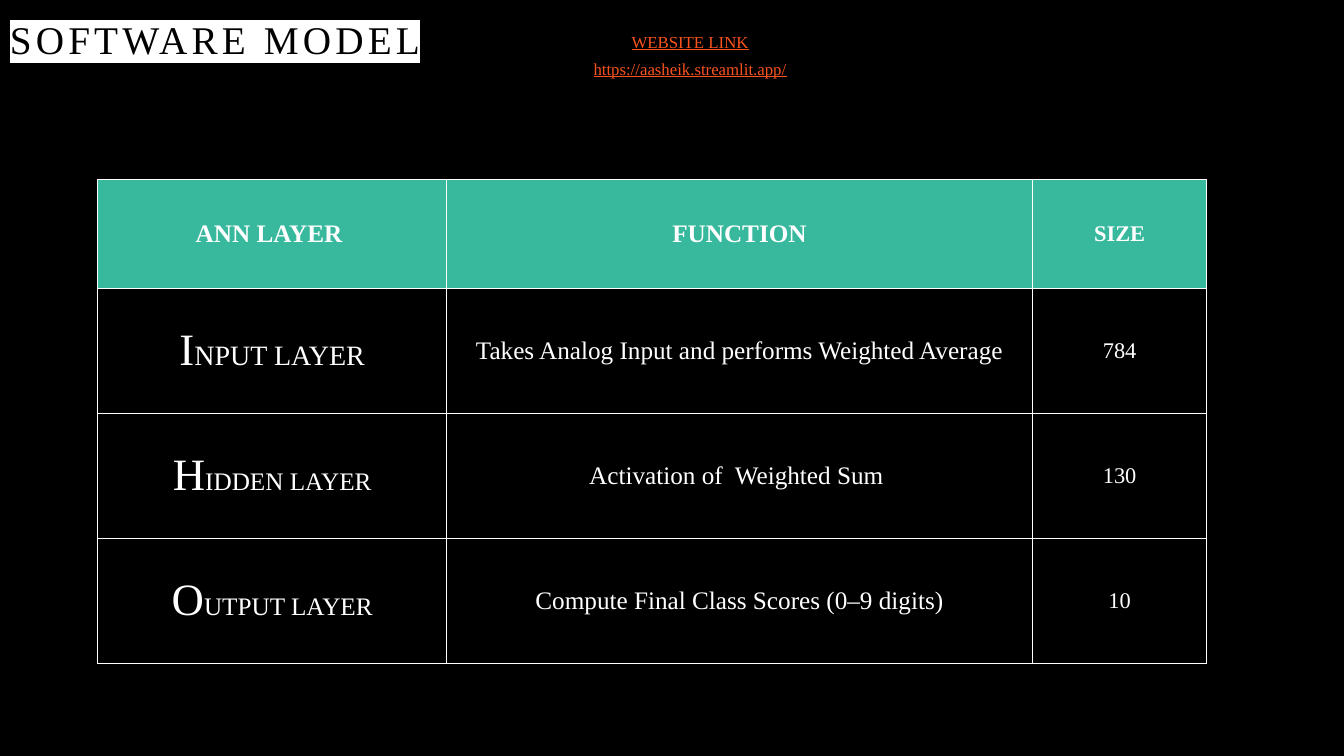
from dataclasses import dataclass

from lxml import etree
from pptx import Presentation
from pptx import util as u
from pptx.dml.color import RGBColor
from pptx.enum import text
from pptx.oxml import ns


@dataclass(frozen=True)
class Theme:
    """Colours, font and type sizes of the slide."""
    black: RGBColor = RGBColor(0, 0, 0)
    white: RGBColor = RGBColor(255, 255, 255)
    teal: RGBColor = RGBColor(0x38, 0xB9, 0x9E)
    orange: RGBColor = RGBColor(0xFA, 0x53, 0x1E)
    face: str = "Times New Roman"
    title: int = 28
    link: int = 12
    initial: int = 32
    first_layer: int = 20
    body: int = 18
    size: int = 16


THEME = Theme()
COLUMNS = (3.46, 5.81, 1.73)
ROWS = (1.08, 1.24, 1.24, 1.24)
HEADER = ("ANN LAYER ", "FUNCTION", "SIZE")
LAYERS = (
    ("INPUT LAYER", "Takes Analog Input and performs Weighted Average", "784"),
    ("HIDDEN LAYER", "Activation of  Weighted Sum ", "130"),
    ("OUTPUT LAYER", "Compute Final Class Scores (0–9 digits)", "10"),
)


def style(font, size, color, bold=False):
    """Set face, size, colour and weight of a font."""
    font.name, font.size, font.bold = THEME.face, u.Pt(size), bold
    font.color.rgb = color


def add_box(page, box):
    """Add a wrapping text box at (left, top, width, height) in inches."""
    frame = page.shapes.add_textbox(*map(u.Inches, box)).text_frame
    frame.word_wrap = True
    return frame


def add_title(page, box):
    """Write the spaced, highlighted title at the foot of its box."""
    frame = add_box(page, box)
    frame.vertical_anchor = text.MSO_ANCHOR.BOTTOM
    para = frame.paragraphs[0]
    para.line_spacing = 1.2
    span = para.add_run()
    span.text = "SOFTWARE MODEL"
    style(span.font, THEME.title, THEME.black)
    props = span._r.get_or_add_rPr()
    props.set("spc", "300")
    highlight = etree.Element(ns.qn("a:highlight"))
    etree.SubElement(highlight, ns.qn("a:srgbClr"), val=str(THEME.white))
    props.find(ns.qn("a:solidFill")).addnext(highlight)


def add_links(page, box):
    """Write the centred website label and address."""
    frame = add_box(page, box)
    frame.margin_left = frame.margin_right = frame.margin_bottom = 0
    frame.margin_top = u.Inches(0.07)
    for index, line in enumerate(("WEBSITE LINK", "https://aasheik.streamlit.app/")):
        para = frame.add_paragraph() if index else frame.paragraphs[0]
        para.text = line
        para.alignment = text.PP_ALIGN.CENTER
        if index:
            para.space_before = u.Pt(4.9)
        style(para.font, THEME.link, THEME.orange)
        para.font.underline = True


def outline_cell(cell):
    """Draw a one-point white line on each side of a cell."""
    props = cell._tc.get_or_add_tcPr()
    for index, side in enumerate(("lnL", "lnR", "lnT", "lnB")):
        line = etree.Element(ns.qn(f"a:{side}"), w=str(u.Pt(1)))
        fill = etree.SubElement(line, ns.qn("a:solidFill"))
        etree.SubElement(fill, ns.qn("a:srgbClr"), val=str(THEME.white))
        props.insert(index, line)


def fill_cell(cell, row, column, words):
    """Write one table cell in the style of its row and column."""
    cell.vertical_anchor = text.MSO_ANCHOR.MIDDLE
    cell.fill.solid()
    cell.fill.fore_color.rgb = THEME.black if row else THEME.teal
    outline_cell(cell)
    para = cell.text_frame.paragraphs[0]
    para.alignment = text.PP_ALIGN.CENTER
    if row and column == 0:
        rest = THEME.first_layer if row == 1 else THEME.body
        for part, size in ((words[0], THEME.initial), (words[1:], rest)):
            span = para.add_run()
            span.text = part
            style(span.font, size, THEME.white)
    else:
        para.text = words
        size = THEME.size if column == 2 else THEME.body
        style(para.font, size, THEME.white, bold=row == 0)


def add_layer_table(page, left, top):
    """Add the table of network layers with its top left corner given."""
    frame = page.shapes.add_table(
        len(ROWS), len(COLUMNS), u.Inches(left), u.Inches(top),
        u.Inches(sum(COLUMNS)), u.Inches(sum(ROWS)))
    table = frame.table
    for column, width in zip(table.columns, COLUMNS):
        column.width = u.Inches(width)
    for row, height in zip(table.rows, ROWS):
        row.height = u.Inches(height)
    for row, entries in enumerate((HEADER, *LAYERS)):
        for column, words in enumerate(entries):
            fill_cell(table.cell(row, column), row, column, words)


def main():
    """Build and save the slide."""
    deck = Presentation()
    deck.slide_width, deck.slide_height = u.Inches(13.33), u.Inches(7.5)
    page = deck.slides.add_slide(deck.slide_layouts[6])
    page.background.fill.solid()
    page.background.fill.fore_color.rgb = THEME.black
    add_title(page, (0, -0.33, 9.41, 1))
    add_layer_table(page, 0.97, 1.78)
    add_links(page, (4.41, 0.24, 4.87, 0.53))
    deck.save("out.pptx")


if __name__ == "__main__":
    main()
